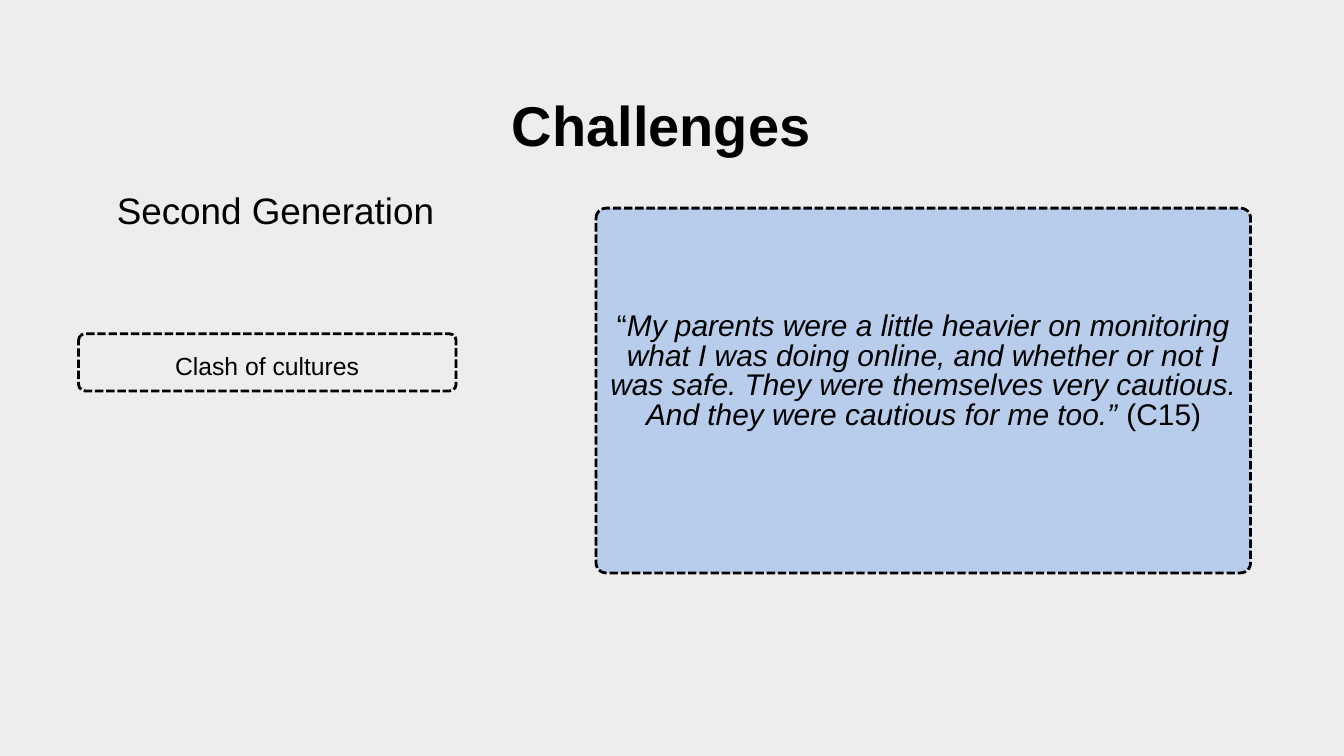
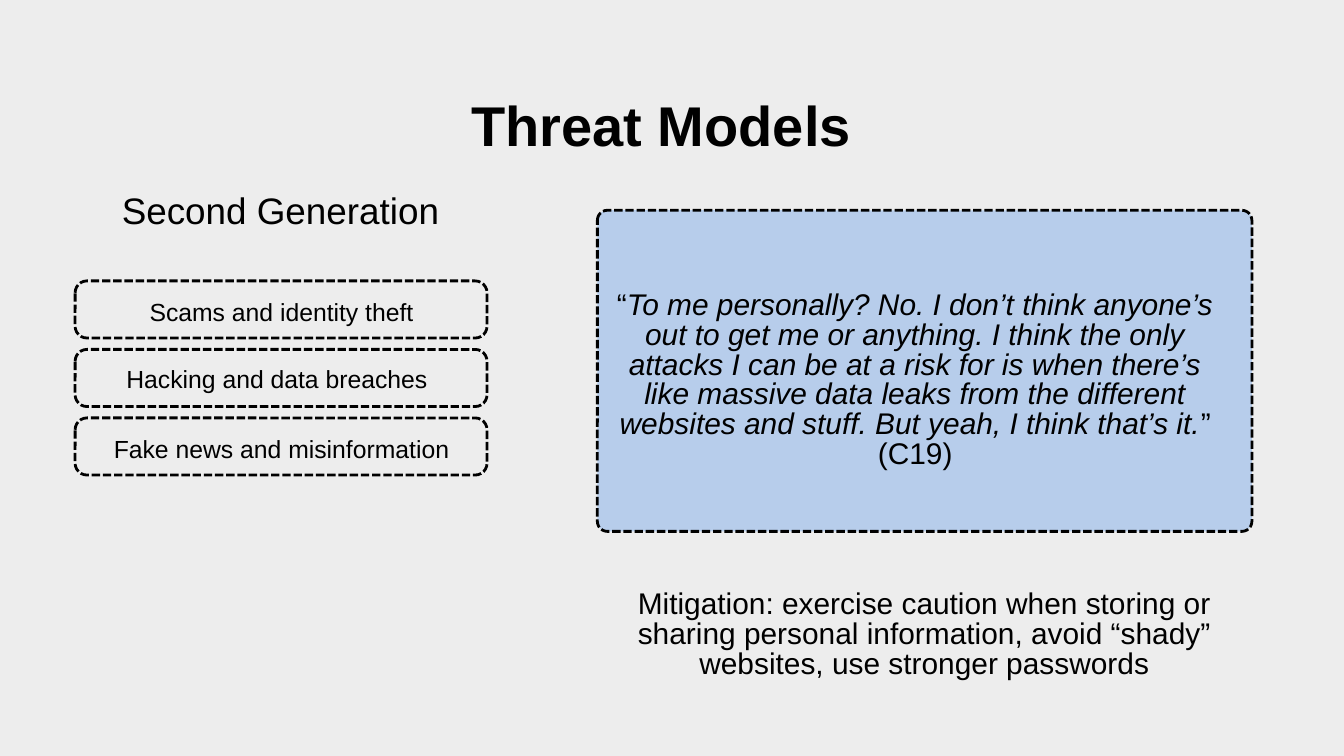
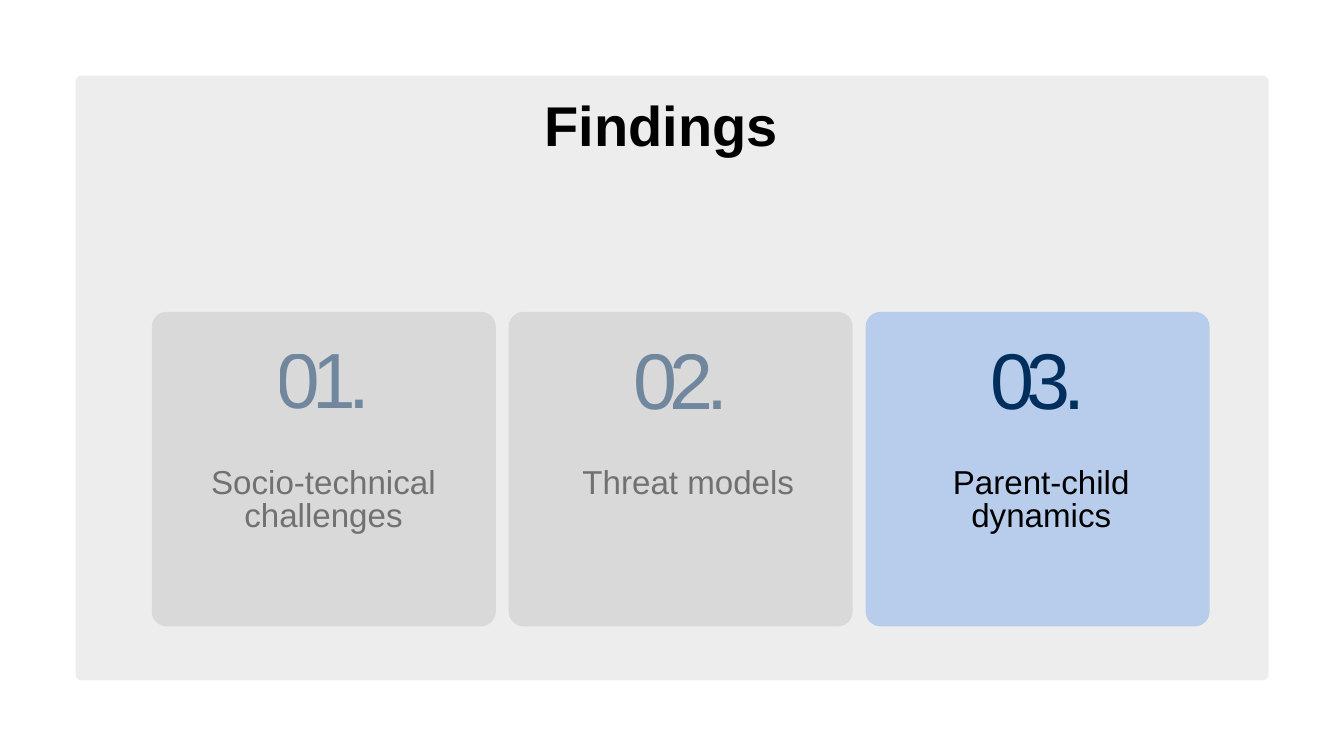
"""Build three slides on challenges, threat models and findings."""
import dataclasses
import typing

import lxml.etree
import pptx
import pptx.dml.color
import pptx.enum.dml
import pptx.enum.shapes
import pptx.enum.text
import pptx.oxml.ns
import pptx.util

Cm = pptx.util.Cm
Pt = pptx.util.Pt
BLACK, WHITE, PALE, GREY, BLUE, NAVY = "000000", "FFFFFF", "EDEDED", "D9D9D9", "B7CDEB", "002E5D"
FONT = "Arial"
DIM = 48


@dataclasses.dataclass(frozen=True)
class Place:
    left: float
    top: float
    width: float
    height: float


@dataclasses.dataclass(frozen=True)
class Style:
    size: float
    lead: float
    bold: bool = False
    color: str = BLACK
    track: float = 0
    alpha: int = 100


@dataclasses.dataclass(frozen=True)
class Box:
    place: Place
    curve: float
    fill: str = ""
    dashed: bool = False


@dataclasses.dataclass(frozen=True)
class Span:
    text: str
    slant: bool = False


@dataclasses.dataclass(frozen=True)
class Note:
    place: Place
    spans: tuple[Span, ...]
    style: Style


@dataclasses.dataclass(frozen=True)
class Card:
    mark: str
    size: float
    label: str
    label_left: float
    fill: str = GREY
    alpha: int = DIM


TITLE = Style(60, 60, bold=True)
HEAD = Style(39.5, 55.3)
ITEM = Style(26.5, 37.1)
QUOTE = Style(32, 32)
LABEL = Style(35.5, 35.5)


def put(thing: typing.Any, values: dict[str, typing.Any]) -> None:
    for name, value in values.items():
        setattr(thing, name, value)


def tint(code: str) -> pptx.dml.color.RGBColor:
    return pptx.dml.color.RGBColor.from_string(code)


def paint(fill: typing.Any, code: str) -> None:
    fill.solid()
    fill.fore_color.rgb = tint(code)


def spot(place: Place) -> dict[str, int]:
    return {name: Cm(value) for name, value in dataclasses.asdict(place).items()}


def write(shape: typing.Any, note: Note) -> None:
    style = note.style
    put(shape, spot(note.place))
    frame = shape.text_frame
    put(frame, {
        "margin_left": 0, "margin_top": 0, "margin_right": 0, "margin_bottom": 0,
        "word_wrap": True,
        "vertical_anchor": pptx.enum.text.MSO_ANCHOR.TOP,
        "auto_size": pptx.enum.text.MSO_AUTO_SIZE.SHAPE_TO_FIT_TEXT,
    })
    line = frame.paragraphs[0]
    put(line, {
        "alignment": pptx.enum.text.PP_ALIGN.CENTER,
        "line_spacing": Pt(style.lead),
        "space_before": Pt(0),
    })
    for span in note.spans:
        run = line.add_run()
        run.text = span.text
        put(run.font, {"name": FONT, "size": Pt(style.size), "bold": style.bold, "italic": span.slant})
        run.font.color.rgb = tint(style.color)
        props = run._r.get_or_add_rPr()
        if style.track:
            props.set("spc", str(round(style.track * 100)))
        if style.alpha < 100:
            shade = props.find(".//" + pptx.oxml.ns.qn("a:srgbClr"))
            lxml.etree.SubElement(shade, pptx.oxml.ns.qn("a:alpha"), val=str(style.alpha * 1000))


def add_note(slide: typing.Any, place: Place, style: Style, *spans: Span) -> None:
    write(slide.shapes.add_textbox(0, 0, 0, 0), Note(place, spans, style))


def add_box(slide: typing.Any, box: Box) -> None:
    kind = pptx.enum.shapes.MSO_SHAPE.ROUNDED_RECTANGLE
    shape = slide.shapes.add_shape(kind, **spot(box.place))
    shape.adjustments[0] = box.curve / min(box.place.width, box.place.height)
    shape.shadow.inherit = False
    if box.fill:
        paint(shape.fill, box.fill)
    else:
        shape.fill.background()
    if box.dashed:
        paint(shape.line.fill, BLACK)
        put(shape.line, {"width": Pt(3), "dash_style": pptx.enum.dml.MSO_LINE.SQUARE_DOT})
    else:
        shape.line.fill.background()


def add_title(slide: typing.Any, text: str) -> None:
    shape = slide.shapes.title
    write(shape, Note(Place(13, 3.84, 23.98, 2.13), (Span(text),), TITLE))
    shape.element.getparent().append(shape.element)


def add_slide(deck: typing.Any, ground: str) -> typing.Any:
    slide = deck.slides.add_slide(deck.slide_layouts[5])
    paint(slide.background.fill, ground)
    return slide


def add_theme(deck: typing.Any, title: str, width: float, quote: Place) -> typing.Any:
    slide = add_slide(deck, PALE)
    add_box(slide, Box(quote, 0.38, BLUE, True))
    add_note(slide, Place(3.58, 6.83, width, 1.85), HEAD, Span("Second Generation"))
    add_title(slide, title)
    return slide


def add_item(slide: typing.Any, box: Place, curve: float, text: Place, words: str) -> None:
    add_box(slide, Box(box, curve, dashed=True))
    add_note(slide, text, ITEM, Span(words))


def draw_clash(deck: typing.Any) -> None:
    slide = add_theme(deck, "Challenges", 13.67, Place(22.53, 7.87, 24.74, 13.79))
    add_item(slide, Place(2.97, 12.62, 14.27, 2.16), 0.25,
             Place(5.82, 13.06, 8.56, 1.19), "Clash of cultures")
    add_note(slide, Place(22.78, 11.81, 24.26, 5.72), QUOTE, Span("“"), Span(
        "My parents were a little heavier on monitoring what I was doing online, and whether "
        "or not I was safe. They were themselves very cautious. And they were cautious for me "
        "too.” ", True), Span("(C15)"))


def draw_threats(deck: typing.Any) -> None:
    slide = add_theme(deck, "Threat Models", 14.05, Place(22.58, 7.95, 24.74, 12.14))
    threats = (
        ("Scams and identity theft", 5.11, 11.02, 11.07),
        ("Hacking and data breaches", 4.17, 13.56, 12.6),
        ("Fake news and misinformation", 3.66, 16.21, 13.97),
    )
    for row, (words, left, top, width) in enumerate(threats):
        add_item(slide, Place(2.84, 10.62 + row * 2.59, 15.57, 2.16), 0.45,
                 Place(left, top, width, 1.19), words)
    add_note(slide, Place(23.09, 11.02, 23.01, 6.86), QUOTE, Span("“"), Span(
        "To me personally? No. I don’t think anyone’s out to get me or anything. I think the "
        "only attacks I can be at a risk for is when there’s like massive data leaks from the "
        "different websites and stuff. But yeah, I think that’s it.", True), Span("” (C19)"))
    add_note(slide, Place(23.44, 22.33, 23.01, 3.45), QUOTE, Span(
        "Mitigation: exercise caution when storing or sharing personal information, avoid "
        "“shady” websites, use stronger passwords"))


def draw_finds(deck: typing.Any) -> None:
    slide = add_slide(deck, WHITE)
    add_box(slide, Box(Place(2.86, 2.86, 45.09, 22.86), 0.22, PALE))
    add_title(slide, "Findings")
    cards = (
        Card("01.", 83.9, "Socio-technical challenges", 6.86),
        Card("02.", 84.7, "Threat models", 20.65),
        Card("03.", 84.7, "Parent-child dynamics", 33.99, BLUE, 100),
    )
    for col, card in enumerate(cards):
        left = 5.74 + col * 13.49
        add_box(slide, Box(Place(left, 11.79, 13, 11.89), 0.56, card.fill))
        mark = Style(card.size, card.size - 3.4, color=NAVY, track=-8.1, alpha=card.alpha)
        add_note(slide, Place(left + 4.34, 13.21, 4.32, 2.9), mark, Span(card.mark))
        add_note(slide, Place(card.label_left, 17.7, 10.74, 2.54),
                 dataclasses.replace(LABEL, alpha=card.alpha), Span(card.label))


def main() -> None:
    deck = pptx.Presentation()
    put(deck, {"slide_width": Cm(50.8), "slide_height": Cm(28.58)})
    for draw in (draw_clash, draw_threats, draw_finds):
        draw(deck)
    deck.save("out.pptx")


if __name__ == "__main__":
    main()
